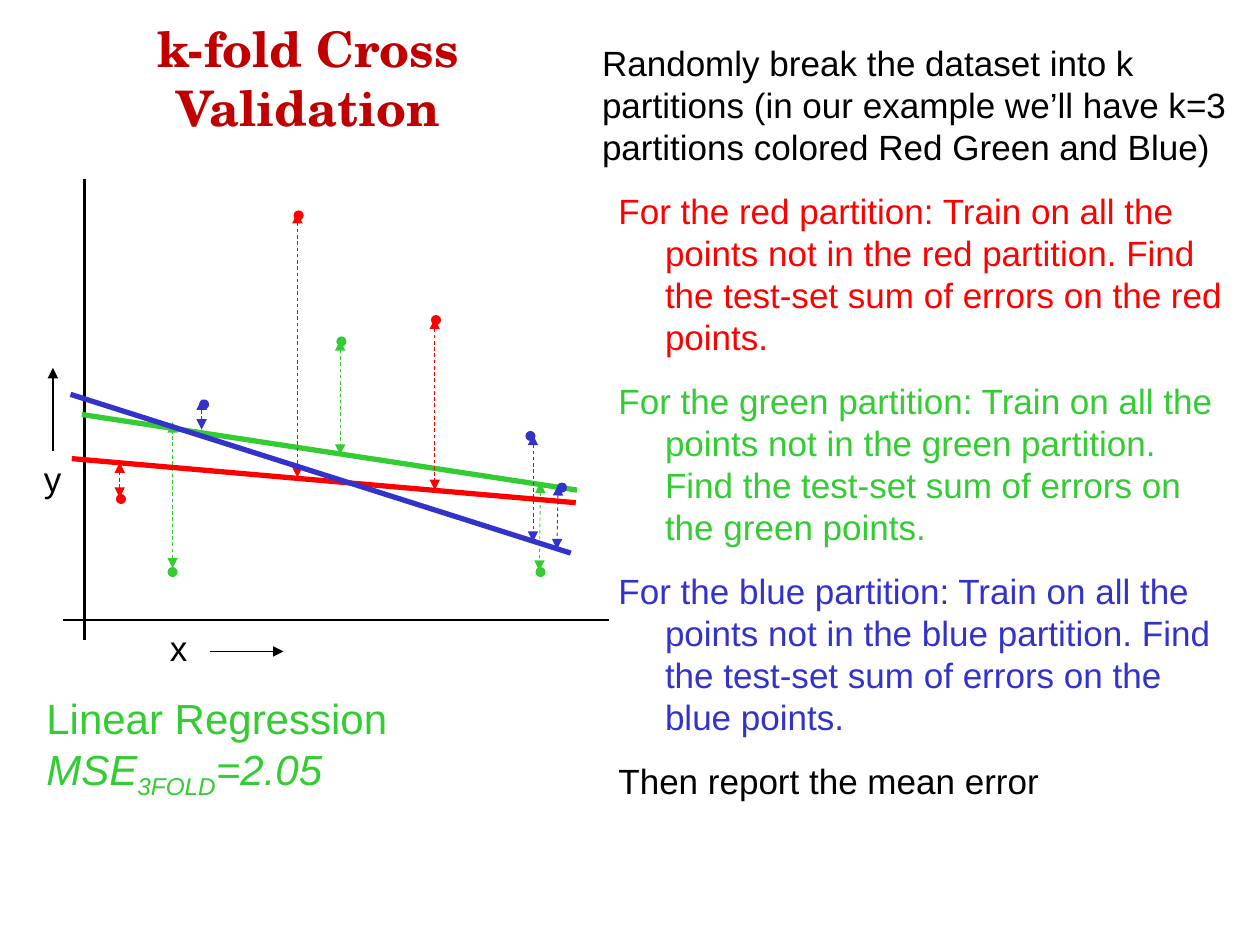
from lxml.etree import SubElement
from pptx import Presentation
from pptx.dml.color import RGBColor
from pptx.enum.dml import MSO_LINE_DASH_STYLE as Dash
from pptx.enum.shapes import MSO_CONNECTOR as Connector, MSO_SHAPE as Shape
from pptx.enum.text import MSO_ANCHOR as Anchor, MSO_AUTO_SIZE as AutoSize, PP_ALIGN as Align
from pptx.oxml.ns import qn
from pptx.util import Inches, Pt

COLORS = {
    "title": "C00000",
    "black": "000000",
    "red": "FF0000",
    "green": "33CC33",
    "blue": "3333CC",
}
TITLE_FONT, BODY_FONT = "TeX Gyre Schola", "Arial"
DOT_SIZE = 0.08

TITLE = "k-fold Cross Validation"
INTRO = ("Randomly break the dataset into k partitions (in our example "
         "we’ll have k=3 partitions colored Red Green and Blue)")
STEP = ("For the {0} partition: Train on all the points not in the {0} partition. "
        "Find the test-set sum of errors on the {0} points.")
CONCLUSION = "Then report the mean error"

# Each line is (start x, start y, end x, end y); each dot is its left, top corner.
PARTITIONS = {
    "red": {
        "fit": (0.57, 3.64, 4.57, 3.99),
        "dots": [(0.92, 3.92), (2.33, 1.67), (3.42, 2.5)],
        "errors": [(0.95, 3.95, 0.95, 3.67), (2.36, 1.69, 2.36, 3.79),
                   (3.45, 2.53, 3.45, 3.89)],
    },
    "green": {
        "fit": (0.65, 3.29, 4.58, 3.89),
        "dots": [(1.33, 4.5), (2.67, 2.67), (4.25, 4.5)],
        "errors": [(1.37, 4.51, 1.37, 3.35), (2.7, 2.7, 2.7, 3.61),
                   (4.29, 3.83, 4.28, 4.53)],
    },
    "blue": {
        "fit": (0.56, 3.13, 4.53, 4.39),
        "dots": [(1.58, 3.17), (4.42, 3.83), (4.17, 3.42)],
        "errors": [(1.6, 3.41, 1.6, 3.17), (4.23, 3.45, 4.23, 4.3),
                   (4.43, 3.85, 4.42, 4.36)],
    },
}
AXES = [(0.67, 1.42, 0.67, 5.08), (0.5, 4.92, 4.83, 4.92)]
AXIS_LABELS = [
    ("x", (1.25, 4.92, 0.33, 0.44), (1.67, 5.17, 2.25, 5.17)),
    ("y", (0.25, 3.58, 0.33, 0.44), (0.42, 3.58, 0.42, 2.92)),
]
# Text, italic, baseline shift in thousandths of a percent
RESULT = [
    ("Linear Regression ", False, 0),
    ("MSE", True, 0),
    ("3FOLD", True, -25000),
    ("=2.05", True, 0),
]


def rgb(color):
    return RGBColor.from_string(COLORS[color])


def add_line(slide, ends, color, width, arrow_ends=(), dashed=False):
    """Draw a line; arrow_ends may hold headEnd (start) and tailEnd (end)."""
    line = slide.shapes.add_connector(Connector.STRAIGHT, *map(Inches, ends))
    line.line.color.rgb = rgb(color)
    line.line.width = Pt(width)
    if dashed:
        line.line.dash_style = Dash.DASH
    properties = line._element.spPr
    for end in arrow_ends:
        SubElement(line.line._get_or_add_ln(), qn(f"a:{end}"), type="triangle")
    SubElement(properties, qn("a:effectLst"))


def add_dot(slide, left, top, color):
    dot = slide.shapes.add_shape(
        Shape.OVAL, *map(Inches, (left, top, DOT_SIZE, DOT_SIZE)))
    dot.shadow.inherit = False
    dot.fill.solid()
    dot.fill.fore_color.rgb = rgb(color)
    dot.line.fill.background()


def add_text_frame(slide, box):
    frame = slide.shapes.add_textbox(*map(Inches, box)).text_frame
    frame.word_wrap = True
    frame.auto_size = AutoSize.SHAPE_TO_FIT_TEXT
    return frame


def add_run(paragraph, text, size, color, font=BODY_FONT):
    run = paragraph.add_run()
    run.text = text
    run.font.name = font
    run.font.size = Pt(size)
    run.font.color.rgb = rgb(color)
    return run


def add_title(slide):
    title = slide.shapes.title
    title.left, title.top, title.width, title.height = map(
        Inches, (0.27, 0.2, 4.35, 0.93))
    frame = title.text_frame
    frame.auto_size = AutoSize.NONE
    frame.word_wrap = True
    frame.vertical_anchor = Anchor.BOTTOM
    paragraph = frame.paragraphs[0]
    paragraph.alignment = Align.CENTER
    add_run(paragraph, TITLE, 28, "title", TITLE_FONT).font.bold = True


def add_plot(slide):
    for axis in AXES:
        add_line(slide, axis, "black", 1.5)
    for label, box, arrow in AXIS_LABELS:
        add_run(add_text_frame(slide, box).paragraphs[0], label, 20, "black")
        add_line(slide, arrow, "black", 0.75, ["tailEnd"])
    # The green fit lies beneath the other two.
    for color in ("green", "red", "blue"):
        partition = PARTITIONS[color]
        add_line(slide, partition["fit"], color, 3)
        for left, top in partition["dots"]:
            add_dot(slide, left, top, color)
        for error in partition["errors"]:
            add_line(slide, error, color, 0.5, ["headEnd", "tailEnd"], dashed=True)


def add_explanation(slide):
    frame = add_text_frame(slide, (4.68, 0.28, 5.16, 6.13))
    add_run(frame.paragraphs[0], INTRO, 20, "black")
    steps = [(STEP.format(color), color) for color in PARTITIONS]
    for text, color in steps + [(CONCLUSION, "black")]:
        paragraph = frame.add_paragraph()
        paragraph.level = 1
        paragraph.space_before = Pt(12.5)
        properties = paragraph._p.get_or_add_pPr()
        properties.set("marL", str(Inches(0.5)))
        properties.set("indent", str(Inches(-0.37)))
        add_run(paragraph, text, 20, color)


def add_result(slide):
    paragraph = add_text_frame(slide, (0.27, 5.45, 4.24, 0.96)).paragraphs[0]
    for text, italic, baseline in RESULT:
        run = add_run(paragraph, text, 24, "green")
        run.font.italic = italic
        if baseline:
            run.font._element.set("baseline", str(baseline))


def main():
    presentation = Presentation()
    presentation.slide_width = Inches(10)
    presentation.slide_height = Inches(7.5)
    slide = presentation.slides.add_slide(presentation.slide_layouts[5])
    add_title(slide)
    add_plot(slide)
    add_explanation(slide)
    add_result(slide)
    presentation.save("out.pptx")


if __name__ == "__main__":
    main()
